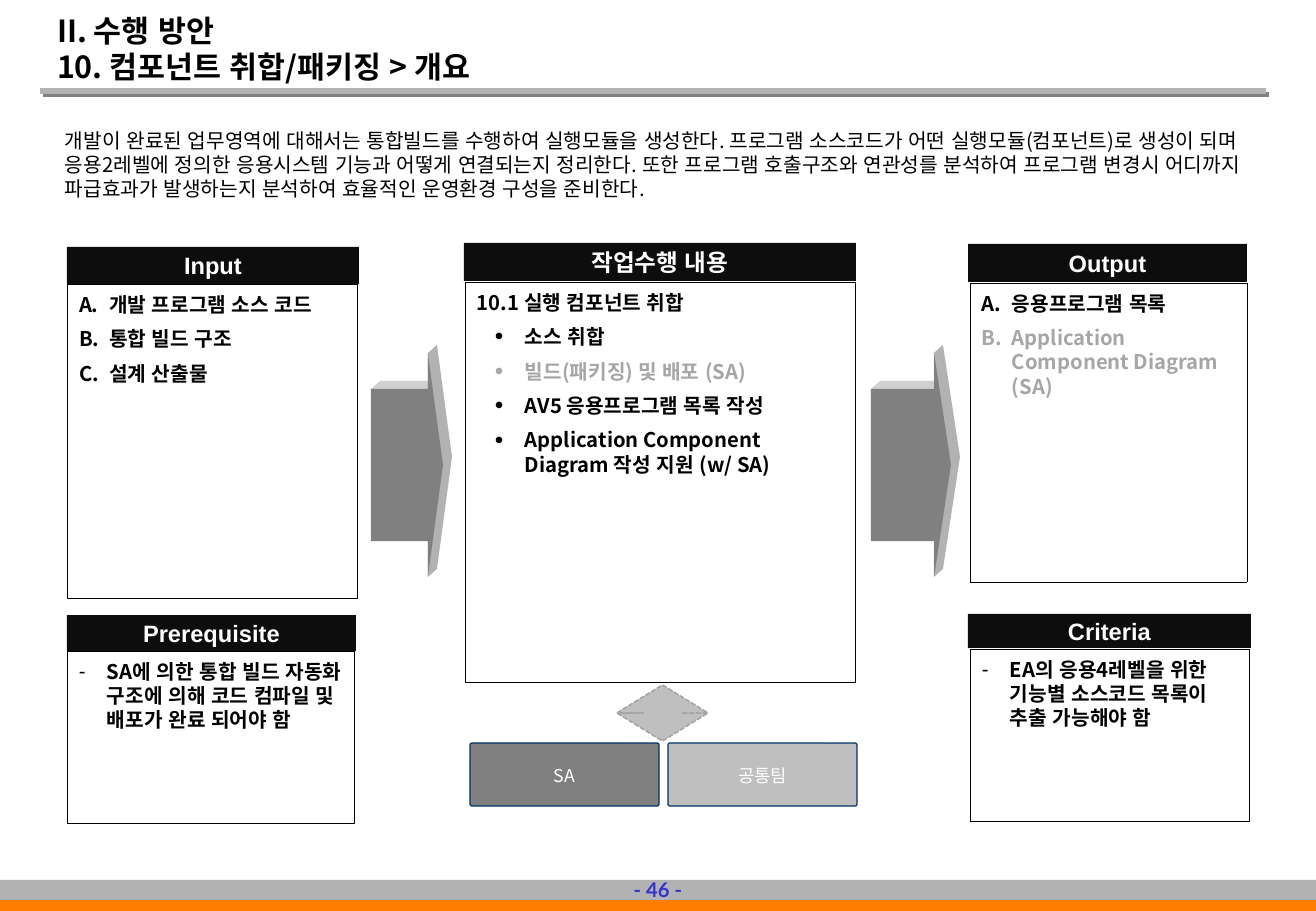
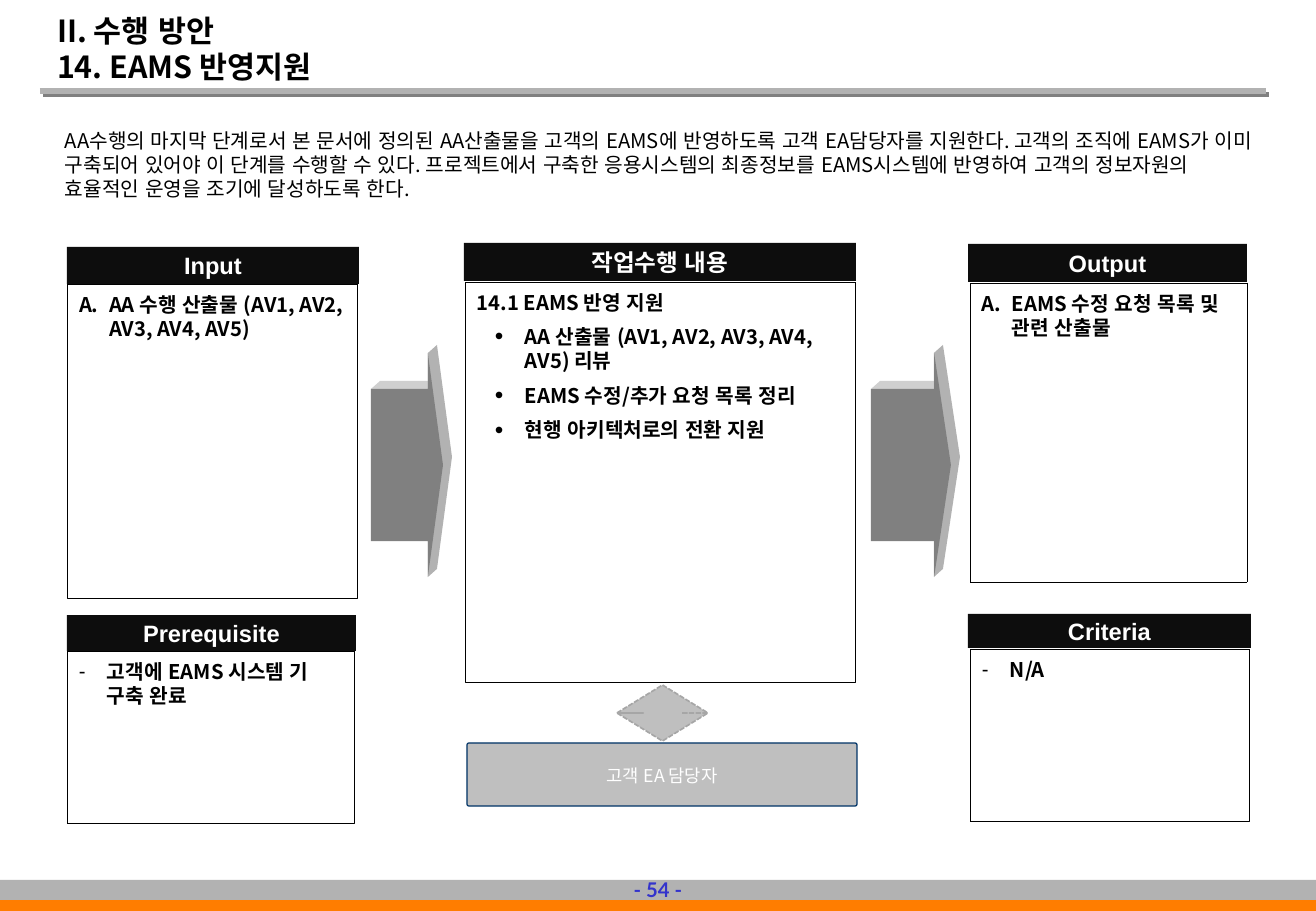
import copy
from dataclasses import dataclass

import pptx
import pptx.dml.color
import pptx.enum.dml
import pptx.enum.lang
import pptx.enum.shapes
import pptx.enum.text
import pptx.oxml
import pptx.oxml.ns
import pptx.util

PX = 7526  # EMU in one px
WIDTH, HEIGHT = 1316, 911
SHAPE = pptx.enum.shapes.MSO_SHAPE
DASH = pptx.enum.dml.MSO_LINE
ALIGN = pptx.enum.text.PP_ALIGN
ANCHOR = pptx.enum.text.MSO_ANCHOR
qn = pptx.oxml.ns.qn
NS = pptx.oxml.ns.nsdecls("a")


@dataclass(frozen=True)
class Theme:
    korean: str = "Noto Sans CJK KR"
    latin: str = "Arial"
    number_font: str = "Lato"
    title_size: float = 18
    header_size: float = 14
    body_size: float = 12
    partner_size: float = 10.5
    leading: float = 1.2
    ink: str = "000000"
    paper: str = "FFFFFF"
    muted: str = "A6A6A6"
    header: str = "0D0D0D"
    rule: str = "B2B2B2"
    accent: str = "FF7D00"
    number: str = "3333CC"
    dark: str = "808080"
    light: str = "BFBFBF"
    top_face: str = "CFCFCF"
    partner_line: str = "003366"


@dataclass(frozen=True)
class Item:
    text: str
    bullet: str = "none"
    muted: bool = False


# Left margin, first-line indent (px) and the bullet elements
BULLETS = {
    "none": (0, 0, ["<a:buNone {}/>"]),
    "heading": (30, -30, ["<a:buNone {}/>"]),
    "letter": (30, -30, ['<a:buFont {} typeface="+mj-lt"/>',
                         '<a:buAutoNum {} type="alphaUcPeriod"/>']),
    "dot": (48, -30, ['<a:buSzPct {} val="120000"/>', '<a:buFont {} typeface="Arial"/>',
                      '<a:buChar {} char="•"/>']),
    "dash": (28, -28, ['<a:buFont {} typeface="Arial"/>', '<a:buChar {} char="-"/>']),
}

# Header text, header box, panel box
PANELS = {
    "work": ("작업수행 내용", (464, 243, 392, 38), (465, 282, 390, 400)),
    "input": ("Input", (67, 247, 292, 37), (67, 284, 290, 314)),
    "output": ("Output", (968, 244, 279, 38), (970, 283, 277, 299)),
    "prerequisite": ("Prerequisite", (67, 615, 289, 36), (67, 651, 287, 172)),
    "criteria": ("Criteria", (968, 614, 283, 34), (970, 649, 279, 172)),
}


def color(value):
    return pptx.dml.color.RGBColor.from_string(value)


def emu(*lengths):
    return [pptx.util.Emu(length * PX) for length in lengths]


def write(box, items, theme, *, size, font=None, ink=None, bold=False, align=ALIGN.LEFT,
          anchor=ANCHOR.TOP, insets=(12, 8, 12, 6), gap=6, wrap=True):
    """Fill a box with one formatted paragraph per item."""
    frame = box.text_frame
    frame.auto_size = pptx.enum.text.MSO_AUTO_SIZE.NONE
    frame.word_wrap = wrap
    frame.vertical_anchor = anchor
    (frame.margin_left, frame.margin_top,
     frame.margin_right, frame.margin_bottom) = emu(*insets)
    for index, item in enumerate(items):
        para = frame.add_paragraph() if index else frame.paragraphs[0]
        para.text = item.text
        para.alignment = align
        para.line_spacing = pptx.util.Pt(size * theme.leading)
        para.space_before = pptx.util.Pt(gap if index else 0)
        margin, indent, elements = BULLETS[item.bullet]
        properties = para._p.get_or_add_pPr()
        properties.set("marL", str(margin * PX))
        properties.set("indent", str(indent * PX))
        for element in elements:
            properties.append(pptx.oxml.parse_xml(element.format(NS)))
        for span in para.runs:
            span.font.size = pptx.util.Pt(size)
            span.font.bold = bold
            span.font.language_id = pptx.enum.lang.MSO_LANGUAGE_ID.KOREAN
            span.font.color.rgb = color(theme.muted if item.muted else ink or theme.ink)
            span.font.name = face = font or theme.korean
            span.font._element.find(qn("a:latin")).addnext(
                pptx.oxml.parse_xml(f'<a:ea {NS} typeface="{face}"/>'))
        for line_break in para._p.findall(qn("a:br")):
            line_break.insert(0, copy.deepcopy(para.runs[0].font._element))


class Deck:
    def __init__(self, theme):
        self.theme = theme
        self.file = pptx.Presentation()
        self.file.slide_width, self.file.slide_height = emu(WIDTH, HEIGHT)
        self.page = None

    def start(self, title, number):
        """Open a page with the shared title, rule and footer."""
        theme = self.theme
        self.page = self.file.slides.add_slide(self.file.slide_layouts[1])
        self.rule(40, 91, 1266)
        self.shape(SHAPE.RECTANGLE, (0, 892, WIDTH, 19), fill=theme.accent)
        self.shape(SHAPE.RECTANGLE, (0, 880, WIDTH, 20), fill=theme.rule)
        self.text((622, 870, 72, 38), f"- {number} -", size=theme.body_size,
                  font=theme.number_font, ink=theme.number, bold=True, wrap=False,
                  align=ALIGN.CENTER, anchor=ANCHOR.MIDDLE, insets=(7, 7, 7, 7))
        box = self.place(self.page.shapes.title, (45, 28, 979, 61))
        write(box, [Item(title)], theme, size=theme.title_size, bold=True,
              anchor=ANCHOR.BOTTOM, insets=(12, 6, 12, 4))

    def place(self, box, at):
        box.left, box.top, box.width, box.height = emu(*at)
        return box

    def rule(self, left, top, right):
        line = self.page.shapes.add_connector(
            pptx.enum.shapes.MSO_CONNECTOR.STRAIGHT, *emu(left, top, right, top))
        line.line.color.rgb = color(self.theme.rule)
        line.line.width = pptx.util.Pt(3)
        line._element.spPr.append(pptx.oxml.parse_xml(
            f'<a:effectLst {NS}><a:outerShdw dist="35560" dir="2700000" algn="ctr" '
            f'rotWithShape="0"><a:srgbClr val="{self.theme.dark}"/></a:outerShdw></a:effectLst>'))

    def paint(self, box, fill=None, line=None, weight=1, dash=None):
        if fill:
            box.fill.solid()
            box.fill.fore_color.rgb = color(fill)
        else:
            box.fill.background()
        if line:
            box.line.color.rgb = color(line)
            box.line.width = pptx.util.Pt(weight)
            if dash:
                box.line.dash_style = dash
        else:
            box.line.fill.background()
        return box

    def shape(self, kind, at, adjust=(), **style):
        box = self.page.shapes.add_shape(kind, *emu(*at))
        box.shadow.inherit = False
        for index, value in enumerate(adjust):
            box.adjustments[index] = value
        return self.paint(box, **style)

    def polygon(self, points, fill):
        builder = self.page.shapes.build_freeform(*points[0], scale=PX)
        builder.add_line_segments(points[1:])
        box = builder.convert_to_shape()
        box.shadow.inherit = False
        self.paint(box, fill=fill)

    def text(self, at, text, **style):
        write(self.page.shapes.add_textbox(*emu(*at)), [Item(text)], self.theme, **style)

    def intro(self, text):
        self.text((53, 120, 1221, 86), text, size=self.theme.body_size)

    def panel(self, name, items):
        """Draw a black header over an outlined list."""
        theme = self.theme
        label, header_at, panel_at = PANELS[name]
        if name == "work":
            box = self.place(self.page.placeholders[1], panel_at)
        else:
            box = self.shape(SHAPE.RECTANGLE, panel_at)
        self.paint(box, line=theme.ink, weight=0.25, dash=DASH.ROUND_DOT)
        write(box, items, theme, size=theme.body_size, bold=True)
        header = self.shape(SHAPE.RECTANGLE, header_at, fill=theme.header)
        write(header, [Item(label)], theme, size=theme.header_size, ink=theme.paper, bold=True,
              font=theme.latin if label.isascii() else theme.korean,
              align=ALIGN.CENTER, anchor=ANCHOR.MIDDLE, insets=(0, 0, 0, 0))

    def flow_arrow(self, left, width):
        """Draw a right arrow with a raised top and head edge."""
        top, height, body, head = 353, 224, 0.68, 0.21
        depth_x, depth_y = 9, -8
        neck, tip = left + round(width * (1 - head)), left + width
        shoulder = top + round(height * (1 - body) / 2)
        middle, bottom = top + height // 2, top + height
        self.polygon([(left, shoulder), (left + depth_x, shoulder + depth_y),
                      (neck, shoulder + depth_y), (neck, shoulder)], self.theme.top_face)
        self.polygon([(neck, top), (neck + depth_x, top + depth_y),
                      (tip + depth_x, middle + depth_y), (neck + depth_x, bottom + depth_y),
                      (neck, bottom)], self.theme.rule)
        self.shape(SHAPE.RIGHT_ARROW, (left, top, width, height), (body, head),
                   fill=self.theme.dark)

    def partner(self, left, width, text, fill):
        theme = self.theme
        box = self.shape(SHAPE.ROUNDED_RECTANGLE, (left, 743, width, 63), (0.03,),
                         fill=fill, line=theme.partner_line, weight=0.75)
        write(box, [Item(text)], theme, size=theme.partner_size, ink=theme.paper,
              align=ALIGN.CENTER, anchor=ANCHOR.MIDDLE)

    def process(self, title, number, intro, panels, partners):
        """Build one whole process page."""
        self.start(title, number)
        self.intro(intro)
        for name, items in panels.items():
            self.panel(name, items)
        self.flow_arrow(371, 72)
        self.flow_arrow(871, 80)
        self.shape(SHAPE.UP_DOWN_ARROW, (617, 685, 91, 56), (0.61, 0.42), fill=self.theme.light,
                   line=self.theme.muted, dash=DASH.SQUARE_DOT)
        for partner in partners:
            self.partner(*partner)


def main():
    theme = Theme()
    deck = Deck(theme)
    deck.process(
        "II. 수행 방안\v10. 컴포넌트 취합/패키징 > 개요", 46,
        "개발이 완료된 업무영역에 대해서는 통합빌드를 수행하여 실행모듈을 생성한다. "
        "프로그램 소스코드가 어떤 실행모듈(컴포넌트)로 생성이 되며 응용2레벨에 정의한 "
        "응용시스템 기능과 어떻게 연결되는지 정리한다. 또한 프로그램 호출구조와 연관성를 "
        "분석하여 프로그램 변경시 어디까지 파급효과가 발생하는지 분석하여 효율적인 "
        "운영환경 구성을 준비한다.",
        {
            "work": [Item("10.1 실행 컴포넌트 취합", "heading"),
                     Item("소스 취합", "dot"),
                     Item("빌드(패키징) 및 배포 (SA)", "dot", muted=True),
                     Item("AV5 응용프로그램 목록 작성", "dot"),
                     Item("Application Component Diagram 작성 지원 (w/ SA)", "dot")],
            "input": [Item("개발 프로그램 소스 코드", "letter"),
                      Item("통합 빌드 구조", "letter"),
                      Item("설계 산출물", "letter")],
            "output": [Item("응용프로그램 목록", "letter"),
                       Item("Application Component Diagram (SA)", "letter", muted=True)],
            "prerequisite": [Item("SA에 의한 통합 빌드 자동화 구조에 의해 코드 컴파일 및 "
                                  "배포가 완료 되어야 함", "dash")],
            "criteria": [Item("EA의 응용4레벨을 위한 기능별 소스코드 목록이 추출 "
                              "가능해야 함", "dash")],
        },
        [(470, 189, "SA", theme.dark), (668, 189, "공통팀", theme.light)])
    deck.process(
        "II. 수행 방안\v14. EAMS 반영지원", 54,
        "AA수행의 마지막 단계로서 본 문서에 정의된 AA산출물을 고객의 EAMS에 반영하도록 "
        "고객 EA담당자를 지원한다. 고객의 조직에 EAMS가 이미 구축되어 있어야 이 단계를 "
        "수행할 수 있다. 프로젝트에서 구축한 응용시스템의 최종정보를 EAMS시스템에 "
        "반영하여 고객의 정보자원의 효율적인 운영을 조기에 달성하도록 한다.",
        {
            "work": [Item("14.1 EAMS 반영 지원", "heading"),
                     Item("AA 산출물 (AV1, AV2, AV3, AV4, AV5) 리뷰", "dot"),
                     Item("EAMS 수정/추가 요청 목록 정리", "dot"),
                     Item("현행 아키텍처로의 전환 지원", "dot")],
            "input": [Item("AA 수행 산출물 (AV1, AV2, AV3, AV4, AV5)", "letter")],
            "output": [Item("EAMS 수정 요청 목록 및 관련 산출물", "letter")],
            "prerequisite": [Item("고객에 EAMS 시스템 기 구축 완료", "dash")],
            "criteria": [Item("N/A", "dash")],
        },
        [(467, 390, "고객 EA 담당자", theme.light)])
    deck.file.save("out.pptx")


if __name__ == "__main__":
    main()
